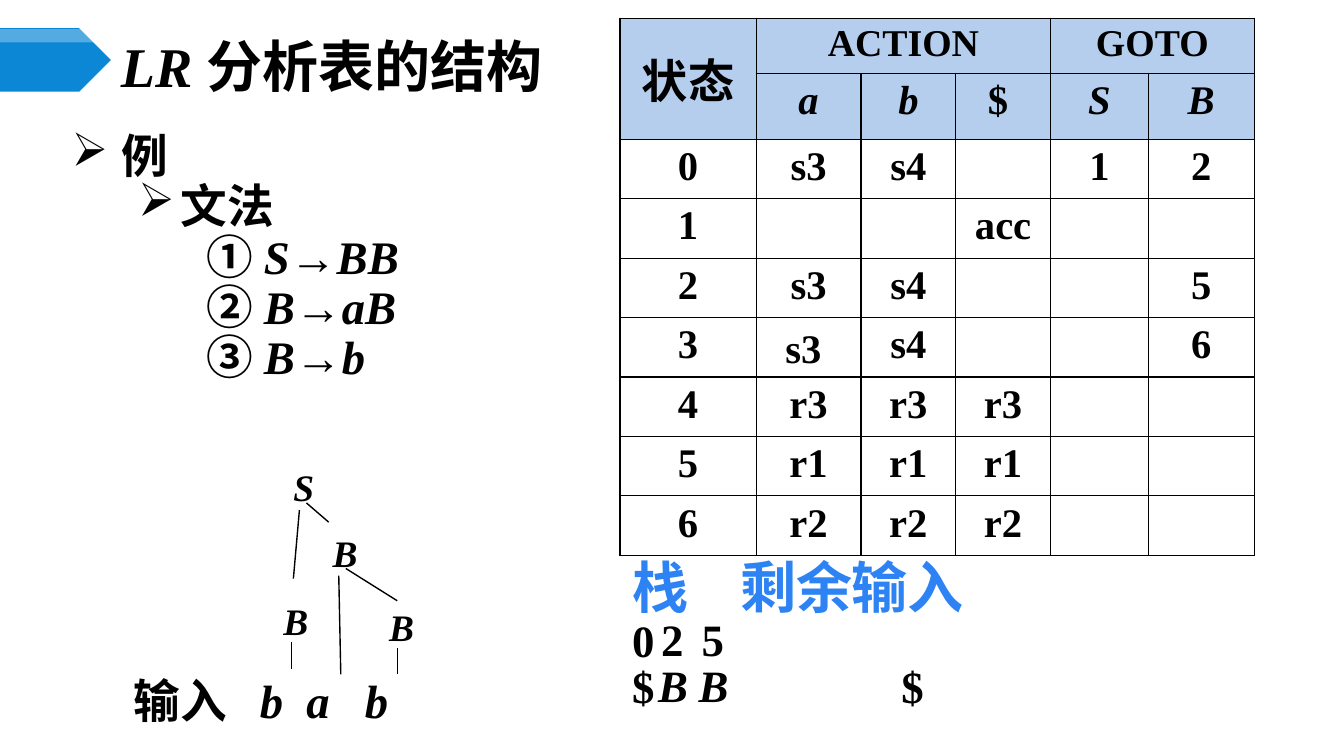
from lxml import etree
from pptx import Presentation
from pptx.dml.color import RGBColor
from pptx.enum import shapes, text
from pptx.oxml import ns
from pptx.util import Inches, Pt

BLACK = RGBColor(0x00, 0x00, 0x00)
WHITE = RGBColor(0xFF, 0xFF, 0xFF)
BANNER_BLUE = RGBColor(0x0B, 0x87, 0xD6)
HEADING_BLUE = RGBColor(0x2D, 0x83, 0xF4)
HEADER_FILL = RGBColor(0xB5, 0xCE, 0xED)
LATIN = "Times New Roman"
CJK = "Noto Sans CJK SC"

COLUMN_WIDTHS = [1.35, 1.04, 0.94, 0.94, 0.97, 1.05]
ROW_HEIGHTS = [0.54, 0.65] + [0.59] * 7
PARSING_TABLE = [
    ["状态", "ACTION", "", "", "GOTO", ""],
    ["", "a", "b", "$ ", "S", "B"],
    ["0", "s3", "s4", "", "1", "2"],
    ["1", "", "", "acc", "", ""],
    ["2", "s3", "s4", "", "", "5"],
    ["3", "s3 ", "s4", "", "", "6"],
    ["4", "r3", "r3", "r3", "", ""],
    ["5", "r1", "r1", "r1", "", ""],
    ["6", "r2", "r2", "r2", "", ""],
]
PRODUCTIONS = [("① ", "S", "BB"), ("② ", "B", "aB"), ("③ ", "B", "b")]
TREE_NODES = [("S", 2.78, 4.49), ("B", 3.17, 5.14),
              ("B", 2.68, 5.82), ("B", 3.73, 5.88)]
TREE_BRANCHES = [
    (2.97, 5.06, 2.91, 5.74), (3.04, 4.99, 3.26, 5.18),
    (3.36, 5.71, 3.38, 6.69), (3.43, 5.64, 3.94, 5.96),
    (2.89, 6.37, 2.89, 6.64), (3.94, 6.43, 3.94, 6.69),
]
STACK_ITEMS = [("2", 6.46, 6.02, False), ("5", 6.86, 6.02, False),
               ("B", 6.43, 6.48, True), ("B", 6.83, 6.48, True)]


def add_run(paragraph, words, size, face=LATIN, italic=False, color=BLACK):
    run = paragraph.add_run()
    run.text = words
    font = run.font
    font.size, font.bold, font.italic, font.name = Pt(size), True, italic, face
    font.color.rgb = color
    east_asian = etree.SubElement(run._r.get_or_add_rPr(), ns.qn("a:ea"))
    east_asian.set("typeface", face)


def add_text_box(slide, left, top, width, height, inset_x=0.1, inset_y=0.05,
                 wrap=True):
    box = slide.shapes.add_textbox(*map(Inches, (left, top, width, height)))
    frame = box.text_frame
    frame.word_wrap = wrap
    frame.margin_left = frame.margin_right = Inches(inset_x)
    frame.margin_top = frame.margin_bottom = Inches(inset_y)
    return frame


def set_indent(paragraph, left, first, bullet=None):
    props = paragraph._p.get_or_add_pPr()
    props.set("marL", str(Inches(left)))
    props.set("indent", str(Inches(first)))
    if bullet:
        etree.SubElement(props, ns.qn("a:buChar")).set("char", bullet)


def set_tabs(paragraph, *stops):
    tabs = etree.SubElement(paragraph._p.get_or_add_pPr(), ns.qn("a:tabLst"))
    for stop in stops:
        etree.SubElement(tabs, ns.qn("a:tab"), pos=str(Inches(stop)), algn="l")


def add_banner(slide, top, height, color, opacity=None):
    banner = slide.shapes.add_shape(shapes.MSO_SHAPE.PENTAGON, 0, Inches(top),
                                    Inches(1.1), Inches(height))
    banner.shadow.inherit = False
    banner.line.fill.background()
    banner.fill.solid()
    banner.fill.fore_color.rgb = color
    if opacity:
        rgb = banner._element.spPr.find(".//" + ns.qn("a:srgbClr"))
        etree.SubElement(rgb, ns.qn("a:alpha")).set("val", str(opacity * 1000))


def add_title(slide):
    title = slide.shapes.title
    title.left, title.top = Inches(1.1), Inches(0.39)
    title.width, title.height = Inches(11.56), Inches(0.52)
    title.text_frame.vertical_anchor = text.MSO_ANCHOR.MIDDLE
    heading = title.text_frame.paragraphs[0]
    heading.alignment = text.PP_ALIGN.LEFT
    add_run(heading, "LR ", 40, italic=True)
    add_run(heading, "分析表的结构", 40, CJK)


def add_grammar(slide):
    frame = add_text_box(slide, 0.58, 1.25, 4.83, 4.79, 0.13, 0.07)
    example = frame.paragraphs[0]
    grammar = frame.add_paragraph()
    set_indent(example, 0.5, -0.5, "➢")
    set_indent(grammar, 1.08, -0.42, "➢")
    add_run(example, "例", 33.3, CJK)
    add_run(grammar, "文法", 33.3, CJK)
    for number, left_side, right_side in PRODUCTIONS:
        production = frame.add_paragraph()
        set_indent(production, 1.67, -0.33)
        add_run(production, number, 33.3, CJK)
        add_run(production, left_side, 33.3, italic=True)
        add_run(production, "→", 33.3)
        add_run(production, right_side, 33.3, italic=True)
    for paragraph in frame.paragraphs:
        paragraph.line_spacing = 0.9


def add_borders(cell):
    props = cell._tc.get_or_add_tcPr()
    for side in ("lnL", "lnR", "lnT", "lnB"):
        border = etree.SubElement(props, ns.qn("a:" + side), w=str(Pt(1)))
        fill = etree.SubElement(border, ns.qn("a:solidFill"))
        etree.SubElement(fill, ns.qn("a:srgbClr")).set("val", str(BLACK))


def fill_cell(cell, words, row, column):
    add_borders(cell)
    cell.margin_left = cell.margin_right = Inches(0.13)
    if row < 2:
        cell.fill.solid()
        cell.fill.fore_color.rgb = HEADER_FILL
    else:
        cell.fill.background()
    if not words:
        return
    paragraph = cell.text_frame.paragraphs[0]
    paragraph.alignment = text.PP_ALIGN.CENTER
    if row == column == 0:
        cell.vertical_anchor = text.MSO_ANCHOR.MIDDLE
        add_run(paragraph, words, 33, CJK)
    else:
        italic = row == 1 and words.isalpha()
        add_run(paragraph, words, 29 if row else 27, italic=italic)


def add_parsing_table(slide):
    frame = slide.shapes.add_table(
        len(ROW_HEIGHTS), len(COLUMN_WIDTHS), Inches(6.15), Inches(0.18),
        Inches(sum(COLUMN_WIDTHS)), Inches(sum(ROW_HEIGHTS)))
    table = frame.table
    table.first_row = table.horz_banding = False
    for column, width in zip(table.columns, COLUMN_WIDTHS):
        column.width = Inches(width)
    for row, height in zip(table.rows, ROW_HEIGHTS):
        row.height = Inches(height)
    for r, entries in enumerate(PARSING_TABLE):
        for c, words in enumerate(entries):
            fill_cell(table.cell(r, c), words, r, c)
    table.cell(5, 1).vertical_anchor = text.MSO_ANCHOR.BOTTOM
    table.cell(0, 0).merge(table.cell(1, 0))
    table.cell(0, 1).merge(table.cell(0, 3))
    table.cell(0, 4).merge(table.cell(0, 5))


def add_stack(slide):
    frame = add_text_box(slide, 6.14, 5.43, 5.35, 1.58, 0.13, 0.07)
    heading, states, symbols = (frame.paragraphs[0], frame.add_paragraph(),
                                frame.add_paragraph())
    set_tabs(heading, 1.07)
    set_tabs(symbols, 2.67)
    add_run(heading, "栈\t剩余输入", 40, CJK, color=HEADING_BLUE)
    add_run(states, "0", 32)
    add_run(symbols, "$\t$", 32)
    heading.line_spacing = Pt(46.7)
    states.line_spacing = symbols.line_spacing = Pt(33.3)
    for item, left, top, italic in STACK_ITEMS:
        entry = add_text_box(slide, left, top, 0.45, 0.64, wrap=False)
        add_run(entry.paragraphs[0], item, 32, italic=italic)


def add_parse_tree(slide):
    for x1, y1, x2, y2 in TREE_BRANCHES:
        branch = slide.shapes.add_connector(
            shapes.MSO_CONNECTOR.STRAIGHT, *map(Inches, (x1, y1, x2, y2)))
        branch.line.color.rgb = BLACK
        branch.line.width = Pt(1)
        etree.SubElement(branch._element.spPr, ns.qn("a:effectLst"))
    for symbol, left, top in TREE_NODES:
        node = add_text_box(slide, left, top, 0.5, 0.59, 0.13, 0.07, False)
        node.paragraphs[0].line_spacing = 1.1
        add_run(node.paragraphs[0], symbol, 26.7, italic=True)
    sentence = add_text_box(slide, 1.23, 6.62, 2.9, 0.66).paragraphs[0]
    set_tabs(sentence, 1.25, 1.71, 2.29)
    add_run(sentence, "输入", 33.3, CJK)
    add_run(sentence, "\tb\ta\tb", 33.3, italic=True)


def main():
    deck = Presentation()
    deck.slide_width, deck.slide_height = Inches(13.33), Inches(7.5)
    slide = deck.slides.add_slide(deck.slide_layouts[5])
    add_banner(slide, 0.28, 0.63, BANNER_BLUE)
    add_banner(slide, 0.29, 0.13, WHITE, opacity=30)
    add_title(slide)
    add_grammar(slide)
    add_stack(slide)
    add_parsing_table(slide)
    add_parse_tree(slide)
    deck.save("out.pptx")


if __name__ == "__main__":
    main()
